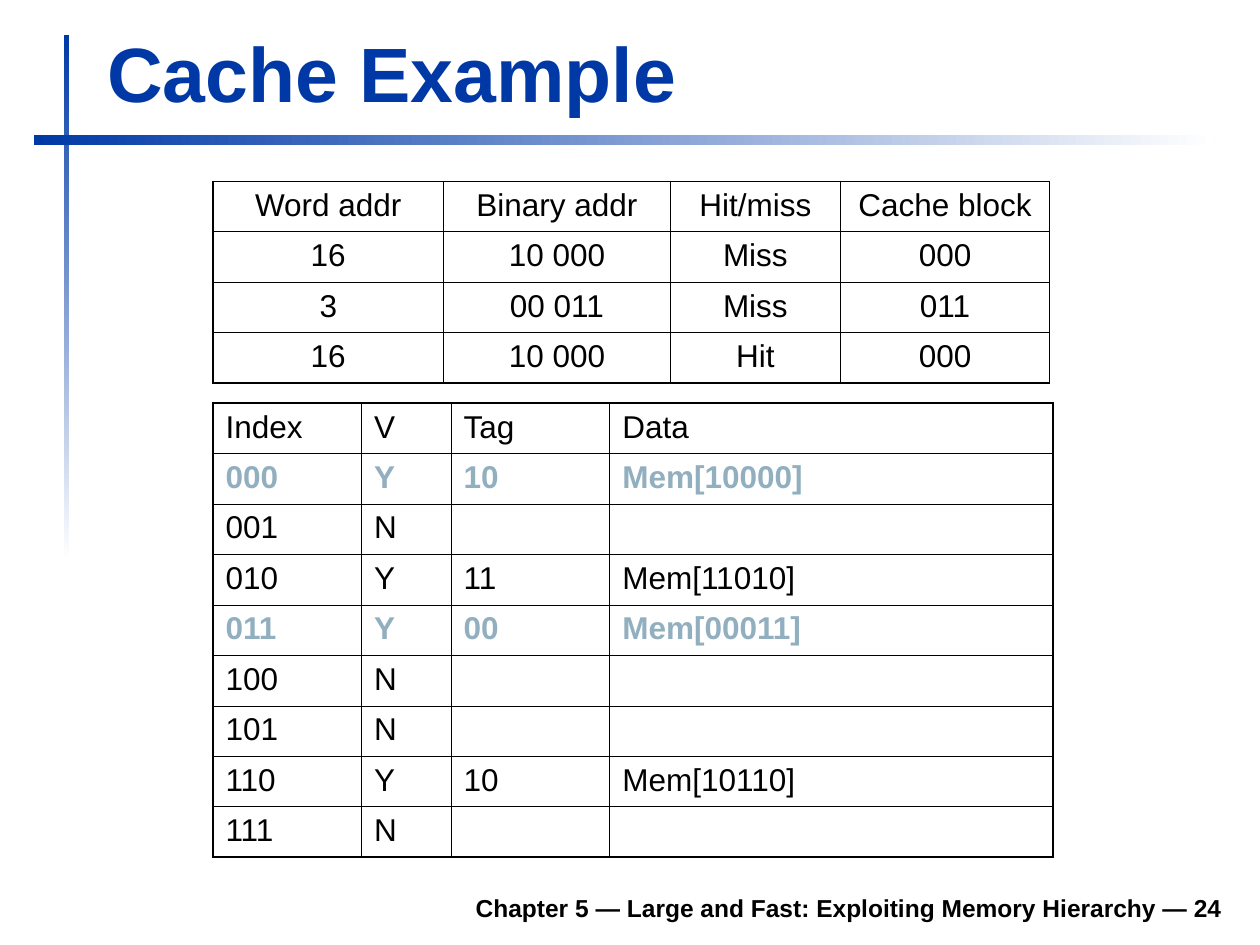
from dataclasses import dataclass

from lxml.etree import SubElement
from pptx import Presentation
from pptx.dml.color import RGBColor
from pptx.enum.shapes import MSO_SHAPE
from pptx.enum.text import MSO_ANCHOR, MSO_AUTO_SIZE, PP_ALIGN
from pptx.oxml.ns import qn
from pptx.util import Inches, Pt

TITLE = "Cache Example"
FOOTER = "Chapter 5 — Large and Fast: Exploiting Memory Hierarchy — 24"

ACCESSES = [
    ("Word addr", "Binary addr", "Hit/miss", "Cache block"),
    ("16", "10 000", "Miss", "000"),
    ("3", "00 011", "Miss", "011"),
    ("16", "10 000", "Hit", "000"),
]
CACHE = [
    ("Index", "V", "Tag", "Data"),
    ("000", "Y", "10", "Mem[10000]"),
    ("001", "N", "", ""),
    ("010", "Y", "11", "Mem[11010]"),
    ("011", "Y", "00", "Mem[00011]"),
    ("100", "N", "", ""),
    ("101", "N", "", ""),
    ("110", "Y", "10", "Mem[10110]"),
    ("111", "N", "", ""),
]
ACCESSED_BLOCKS = {"000", "011"}

ACCESS_COLS = (1.83, 1.8, 1.35, 1.66)
CACHE_COLS = (1.18, 0.71, 1.26, 3.52)
ROW_H = 0.4
TABLE_LEFT, TABLE_TOP, TABLE_GAP = 1.69, 1.44, 0.16


@dataclass(frozen=True)
class Theme:
    font: str = "Arial"
    blue: RGBColor = RGBColor(0x00, 0x39, 0xA6)
    accent: RGBColor = RGBColor(0x91, 0xAF, 0xBF)
    black: RGBColor = RGBColor(0, 0, 0)
    white: RGBColor = RGBColor(255, 255, 255)
    title_size: int = 44
    table_size: int = 18
    footer_size: int = 14
    outer_line: float = 1.08
    header_line: float = 0.75
    inner_line: float = 0.45


THEME = Theme()


def box(left, top, width, height):
    return [Inches(v) for v in (left, top, width, height)]


def write(tf, text, size, color, bold=False, align=PP_ALIGN.LEFT):
    tf.text = text
    p = tf.paragraphs[0]
    p.alignment = align
    font = p.font
    font.name, font.size, font.bold = THEME.font, Pt(size), bold
    font.color.rgb = color
    return p


def add_fading_bar(slide, place, angle):
    sp = slide.shapes.add_shape(MSO_SHAPE.RECTANGLE, *box(*place))
    sp.shadow.inherit = False
    sp.line.fill.background()
    sp.fill.gradient()
    sp.fill.gradient_angle = angle
    for stop, color in zip(sp.fill.gradient_stops, (THEME.blue, THEME.white)):
        stop.color.rgb = color


def set_borders(cell, widths):
    """Draw the left, right, top and bottom lines, with widths in points."""
    tc_pr = cell._tc.get_or_add_tcPr()
    for i, (side, width) in enumerate(zip(("lnL", "lnR", "lnT", "lnB"), widths)):
        ln = SubElement(tc_pr, qn(f"a:{side}"), w=str(int(Pt(width))))
        fill = SubElement(ln, qn("a:solidFill"))
        SubElement(fill, qn("a:srgbClr"), val=str(THEME.black))
        tc_pr.insert(i, ln)


def add_grid(slide, rows, cols, top, align, row_line, marked=frozenset()):
    """Add a ruled table; rows whose first cell is in marked are highlighted."""
    place = box(TABLE_LEFT, top, sum(cols), ROW_H * len(rows))
    table = slide.shapes.add_table(len(rows), len(cols), *place).table
    table.first_row = table.horz_banding = False
    for column, width in zip(table.columns, cols):
        column.width = Inches(width)

    row_lines = [THEME.outer_line, THEME.header_line]
    row_lines += [row_line] * (len(rows) - 2) + [THEME.outer_line]
    col_lines = [THEME.outer_line] + [THEME.inner_line] * (len(cols) - 1)
    col_lines += [THEME.outer_line]

    for r, values in enumerate(rows):
        table.rows[r].height = Inches(ROW_H)
        hot = values[0] in marked
        color = THEME.accent if hot else THEME.black
        for c, text in enumerate(values):
            cell = table.cell(r, c)
            cell.fill.background()
            p = write(cell.text_frame, text, THEME.table_size, color, hot, align)
            p.space_before = Pt(4.5)
            set_borders(cell, col_lines[c:c + 2] + row_lines[r:r + 2])


def main():
    prs = Presentation()
    prs.slide_width, prs.slide_height = Inches(10), Inches(7.5)
    slide = prs.slides.add_slide(prs.slide_layouts[5])

    add_fading_bar(slide, (0.51, 0.28, 0.04, 4.17), 270)
    add_fading_bar(slide, (0.27, 1.07, 9.37, 0.08), 0)

    footer = slide.shapes.add_textbox(*box(1.85, 6.98, 7.95, 0.39))
    tf = footer.text_frame
    tf.word_wrap = True
    tf.vertical_anchor = MSO_ANCHOR.BOTTOM
    write(tf, FOOTER, THEME.footer_size, THEME.black, True, PP_ALIGN.RIGHT)

    title = slide.shapes.title
    title.left, title.top, title.width, title.height = box(0.75, 0.16, 9.03, 0.83)
    tf = title.text_frame
    tf.vertical_anchor = MSO_ANCHOR.BOTTOM
    tf.auto_size = MSO_AUTO_SIZE.SHAPE_TO_FIT_TEXT
    write(tf, TITLE, THEME.title_size, THEME.blue, True)

    cache_top = TABLE_TOP + ROW_H * len(ACCESSES) + TABLE_GAP
    add_grid(slide, CACHE, CACHE_COLS, cache_top, PP_ALIGN.LEFT,
             THEME.inner_line, ACCESSED_BLOCKS)
    add_grid(slide, ACCESSES, ACCESS_COLS, TABLE_TOP, PP_ALIGN.CENTER,
             THEME.header_line)

    prs.save("out.pptx")


if __name__ == "__main__":
    main()
